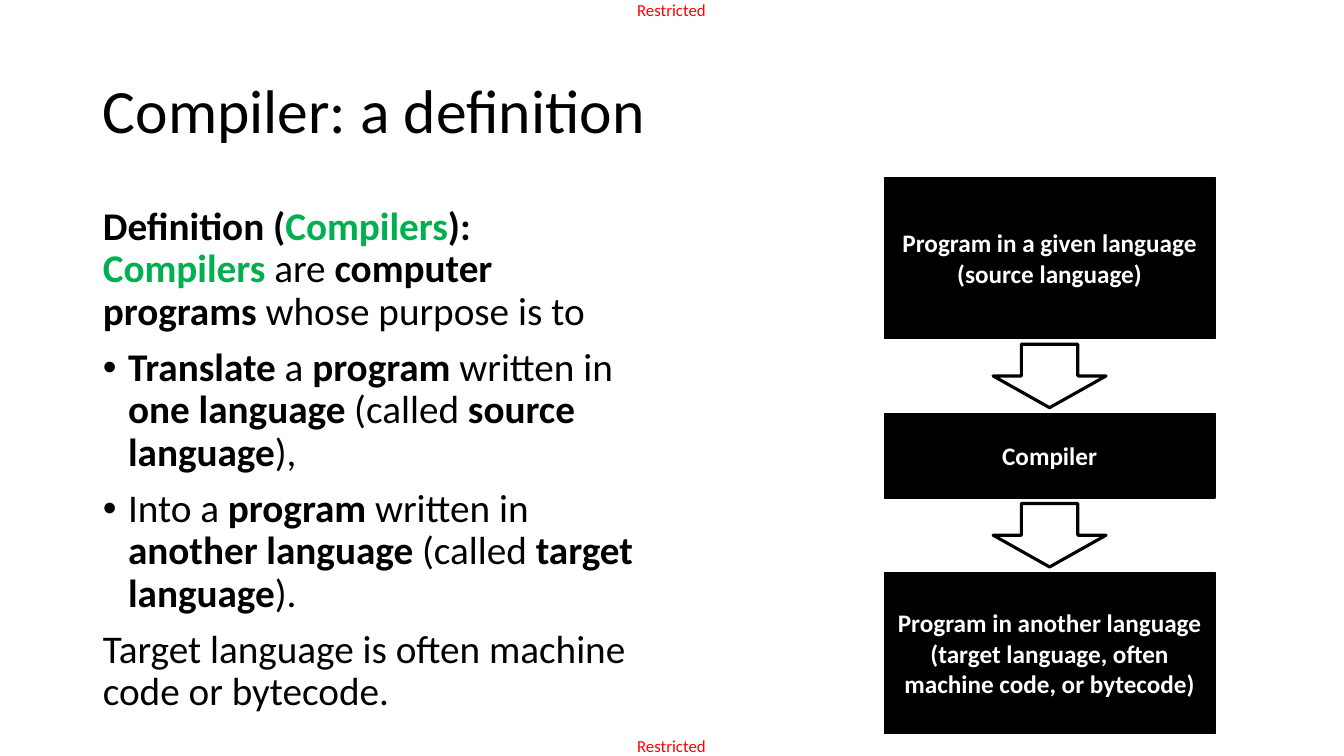
from lxml.etree import SubElement
from pptx import Presentation
from pptx.dml.color import RGBColor
from pptx.enum.shapes import MSO_SHAPE
from pptx.enum.text import MSO_ANCHOR, MSO_AUTO_SIZE, PP_ALIGN
from pptx.oxml.ns import qn
from pptx.util import Inches, Pt

BLACK, WHITE, GREEN, RED = "000000", "FFFFFF", "00B050", "FF0000"
MARKING = "Restricted"
TITLE = "Compiler: a definition"
PLAIN = {"size": 28, "color": BLACK}
BOLD = {**PLAIN, "bold": True}
TERM = {**BOLD, "color": GREEN}
BODY = [
    (False, [("Definition (", BOLD), ("Compilers", TERM), ("):\n", BOLD),
             ("Compilers", TERM), (" are ", PLAIN), ("computer programs", BOLD),
             (" whose purpose is to", PLAIN)]),
    (True, [("Translate", BOLD), (" a ", PLAIN), ("program", BOLD),
            (" written in ", PLAIN), ("one language ", BOLD), ("(called", PLAIN),
            (" source language", BOLD), ("),", PLAIN)]),
    (True, [("Into a ", PLAIN), ("program", BOLD), (" written in", PLAIN),
            (" another language ", BOLD), ("(called ", PLAIN),
            ("target language", BOLD), (").", PLAIN)]),
    (False, [("Target language is often machine code or bytecode. ", PLAIN)]),
]
STAGES = [
    (1.6, ["Program in a given language\n(source language)"]),
    (0.84, ["Compiler"]),
    (1.6, ["Program in another language",
           "(target language, often machine code, or bytecode)"]),
]
STAGE_LEFT, STAGE_TOP, STAGE_WIDTH, STAGE_GAP = 8.77, 1.76, 3.28, 0.74
ARROW_WIDTH, ARROW_HEIGHT = 1.12, 0.63


def rgb(color):
    return RGBColor.from_string(color)


def set_values(target, values):
    for name, value in values.items():
        setattr(target, name, value)


def add_text(paragraph, text, size, color, bold=False):
    for index, line in enumerate(text.split("\n")):
        if index:
            paragraph.add_line_break()
        if line:
            run = paragraph.add_run()
            run.text = line
            set_values(run.font, {"name": "Calibri", "size": Pt(size), "bold": bold})
            run.font.color.rgb = rgb(color)


def place(shape, left, top, width, height):
    set_values(shape, {"left": Inches(left), "top": Inches(top),
                       "width": Inches(width), "height": Inches(height)})


def set_bullet(paragraph, bulleted):
    properties = paragraph._p.get_or_add_pPr()
    indent = Inches(0.25) if bulleted else 0
    properties.set("marL", str(indent))
    properties.set("indent", str(-indent))
    if bulleted:
        SubElement(properties, qn("a:buFont")).set("typeface", "Arial")
        SubElement(properties, qn("a:buChar")).set("char", "•")
    else:
        SubElement(properties, qn("a:buNone"))


def paragraphs_for(frame, count):
    return [frame.paragraphs[0]] + [frame.add_paragraph() for _ in range(count - 1)]


def add_block(kind, left, top, width, height, fill, line_width):
    block = slide.shapes.add_shape(kind, Inches(left), Inches(top),
                                   Inches(width), Inches(height))
    block.shadow.inherit = False
    block.fill.solid()
    block.fill.fore_color.rgb = rgb(fill)
    block.line.color.rgb = rgb(BLACK)
    block.line.width = Pt(line_width)
    return block


presentation = Presentation()
set_values(presentation, {"slide_width": Inches(13.33), "slide_height": Inches(7.5)})
slide = presentation.slides.add_slide(presentation.slide_layouts[1])

title, body = slide.placeholders
place(title, 0.92, 0.4, 11.5, 1.45)
set_values(title.text_frame, {"vertical_anchor": MSO_ANCHOR.MIDDLE,
                              "auto_size": MSO_AUTO_SIZE.NONE})
heading = title.text_frame.paragraphs[0]
set_values(heading, {"alignment": PP_ALIGN.LEFT, "line_spacing": 0.9})
add_text(heading, TITLE, 44, BLACK)

place(body, 0.92, 2, 5.67, 5.5)
body.text_frame.auto_size = MSO_AUTO_SIZE.NONE
for paragraph, (bulleted, runs) in zip(paragraphs_for(body.text_frame, len(BODY)), BODY):
    set_values(paragraph, {"line_spacing": 0.9, "space_before": Pt(10)})
    set_bullet(paragraph, bulleted)
    for text, style in runs:
        add_text(paragraph, text, **style)

for top in (0, 7.3):
    marking = slide.shapes.add_textbox(Inches(6.32), Inches(top), Inches(0.73), Inches(0.2))
    set_values(marking.text_frame, {"margin_left": 0, "margin_right": 0, "margin_top": 0,
                                    "margin_bottom": 0, "word_wrap": True})
    add_text(marking.text_frame.paragraphs[0], MARKING, 12, RED)

top = STAGE_TOP
for index, (height, lines) in enumerate(STAGES):
    if index:
        add_block(MSO_SHAPE.DOWN_ARROW, STAGE_LEFT + (STAGE_WIDTH - ARROW_WIDTH) / 2,
                  top - (STAGE_GAP + ARROW_HEIGHT) / 2, ARROW_WIDTH, ARROW_HEIGHT, WHITE, 2.25)
    stage = add_block(MSO_SHAPE.RECTANGLE, STAGE_LEFT, top, STAGE_WIDTH, height, BLACK, 1)
    set_values(stage.text_frame, {"word_wrap": True, "vertical_anchor": MSO_ANCHOR.MIDDLE})
    for paragraph, line in zip(paragraphs_for(stage.text_frame, len(lines)), lines):
        paragraph.alignment = PP_ALIGN.CENTER
        add_text(paragraph, line, 18, WHITE, True)
    top += height + STAGE_GAP

presentation.save("out.pptx")
